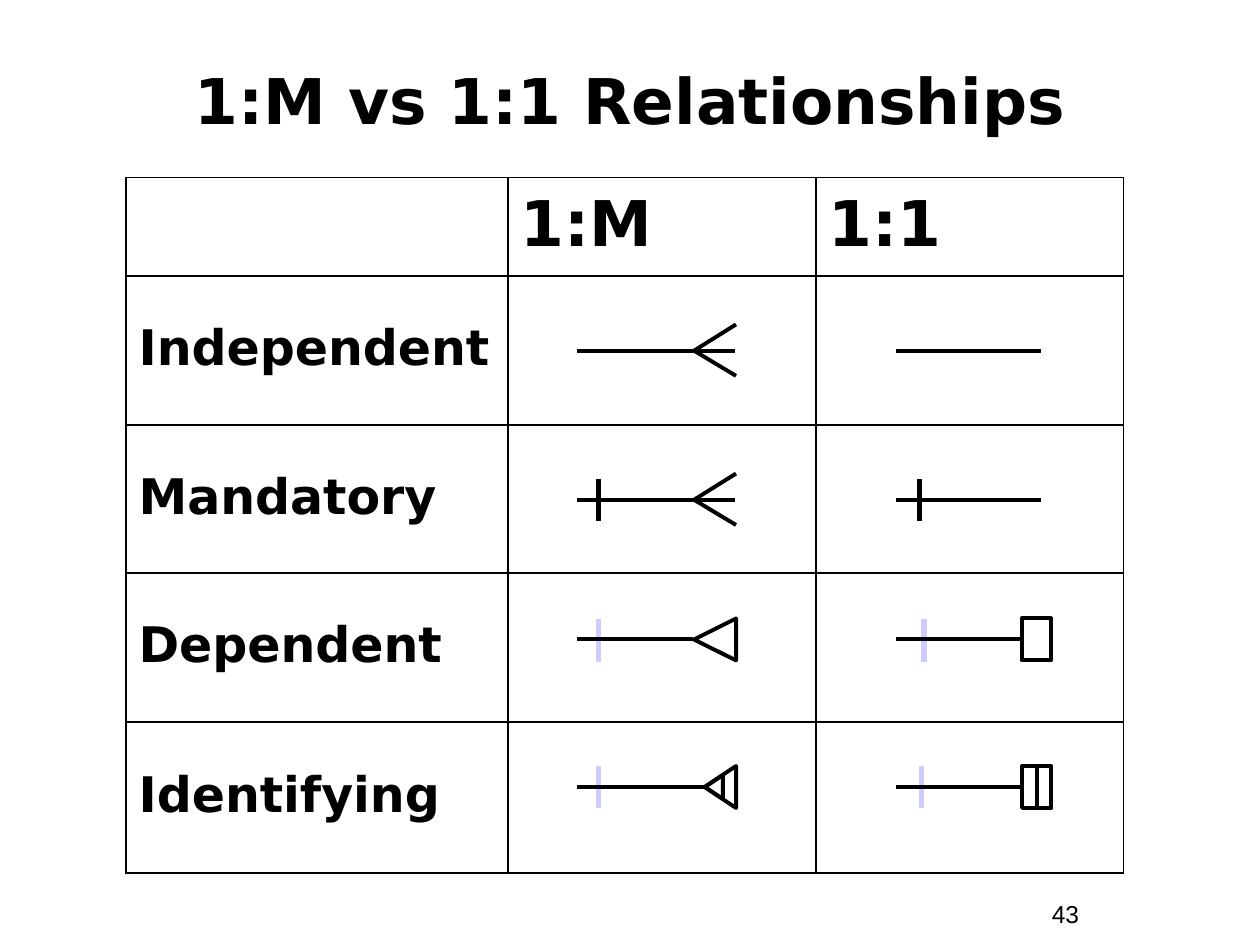
import dataclasses
import typing

import lxml.etree
import pptx
import pptx.dml.color
import pptx.enum.shapes
import pptx.enum.text
import pptx.oxml.ns
import pptx.util

BLACK, PALE = "000000", "CCCCFF"
PRESET = pptx.enum.shapes.MSO_SHAPE
MIDDLE = pptx.enum.text.MSO_ANCHOR.MIDDLE
CENTER = pptx.enum.text.PP_ALIGN.CENTER


def color(value):
    return pptx.dml.color.RGBColor.from_string(value)


def grid(units):
    return pptx.util.Inches(units / 12)


def child(parent, tag, **attributes):
    return lxml.etree.SubElement(parent, pptx.oxml.ns.qn(tag), attributes)


@dataclasses.dataclass
class Board:
    slide: typing.Any
    heading: str = "DejaVu Sans"
    body: str = "Arial"
    stroke: float = 2.25
    tick_stroke: float = 3
    border: float = 1.08

    def put_words(self, frame, words, formats, spacing=1.0, align=None):
        paragraph = frame.paragraphs[0]
        paragraph.line_spacing = spacing
        paragraph.alignment = align
        run = paragraph.add_run()
        run.text = words
        for key, value in formats.items():
            setattr(run.font, key, value)
        run.font.color.rgb = color(BLACK)

    def bold(self, size):
        return {"name": self.heading, "size": pptx.util.Pt(size), "bold": True}

    def text(self, box, words, formats, anchor=None, align=None):
        frame = self.slide.shapes.add_textbox(*map(grid, box)).text_frame
        frame.word_wrap = True
        frame.vertical_anchor = anchor
        self.put_words(frame, words, formats, align=align)

    def line(self, x1, y1, x2, y2, ink=BLACK, width=None):
        link = self.slide.shapes.add_connector(
            pptx.enum.shapes.MSO_CONNECTOR.STRAIGHT, *map(grid, (x1, y1, x2, y2)))
        link.line.color.rgb = color(ink)
        link.line.width = pptx.util.Pt(width or self.stroke)
        child(link._element.spPr, "a:effectLst")

    def tick(self, x, top, ink=BLACK):
        self.line(x, top, x, top + 4, ink, self.tick_stroke)

    def outline(self, preset, *box, rotation=0):
        shape = self.slide.shapes.add_shape(preset, *map(grid, box))
        shape.rotation = rotation
        shape.shadow.inherit = False
        shape.fill.background()
        shape.line.color.rgb = color(BLACK)
        shape.line.width = pptx.util.Pt(self.stroke)

    def crow_foot(self, y):
        for tip in (y - 2.5, y + 2.4):
            self.line(66.1, y, 70.1, tip)
        self.line(55, y, 70, y)

    def frame_cell(self, cell):
        properties = cell._tc.get_or_add_tcPr()
        for side in ("a:lnL", "a:lnR", "a:lnT", "a:lnB"):
            edge = child(properties, side, w=str(pptx.util.Pt(self.border)))
            child(child(edge, "a:solidFill"), "a:srgbClr", val=BLACK)
        cell.fill.background()
        cell.vertical_anchor = MIDDLE

    def table(self, left, top, widths, heights, rows):
        table = self.slide.shapes.add_table(
            len(heights), len(widths), grid(left), grid(top),
            grid(sum(widths)), grid(sum(heights))).table
        table.first_row = table.horz_banding = False
        for column, width in zip(table.columns, widths):
            column.width = grid(width)
        for row, height in zip(table.rows, heights):
            row.height = grid(height)
        for r, entries in enumerate(rows):
            for c, words in enumerate(entries):
                cell = table.cell(r, c)
                self.frame_cell(cell)
                if words:
                    self.put_words(cell.text_frame, words, self.bold(28 if r else 36), 0.9)


def main():
    deck = pptx.Presentation()
    deck.slide_width, deck.slide_height = grid(120), grid(90)
    board = Board(deck.slides.add_slide(deck.slide_layouts[6]))

    board.text((99, 85, 11, 4), "43", {"name": board.body, "size": pptx.util.Pt(14)})
    for x, top in ((88, 59), (87.75, 73), (57, 73), (57, 59)):
        board.tick(x, top, PALE)

    board.text((4, 4, 112, 11), "1:M vs 1:1 Relationships", board.bold(36), MIDDLE, CENTER)
    kinds = ("Independent", "Mandatory", "Dependent", "Identifying")
    board.table(12, 16.9, (36.4, 29.3, 29.3), (9.4, 14.15, 14.15, 14.15, 14.4),
                [("", "1:M", "1:1")] + [(kind, "", "") for kind in kinds])

    independent, mandatory, dependent, identifying = 33.4, 47.6, 60.9, 74.95
    for y in (independent, mandatory):
        board.crow_foot(y)
        board.line(85.3, y, 99.1, y)
    for x in (57, 87.6):
        board.tick(x, mandatory - 2)

    for y, end in ((dependent, 66), (identifying, 67.1)):
        board.line(55, y, end, y)
        board.line(85.3, y, 97.2, y)
    board.outline(PRESET.FLOWCHART_EXTRACT, 66.1, dependent - 2, 4, 4, rotation=270)
    for x, width, height in ((66.6, 4, 3), (66.85, 2.3, 1.7)):
        board.outline(PRESET.ISOSCELES_TRIANGLE, x, identifying - height / 2,
                      width, height, rotation=270)
    board.outline(PRESET.RECTANGLE, 97.3, dependent - 2, 2.8, 4)
    for x in (98.75, 97.35):
        board.outline(PRESET.RECTANGLE, x, identifying - 2, 1.4, 4)

    deck.save("out.pptx")


if __name__ == "__main__":
    main()
